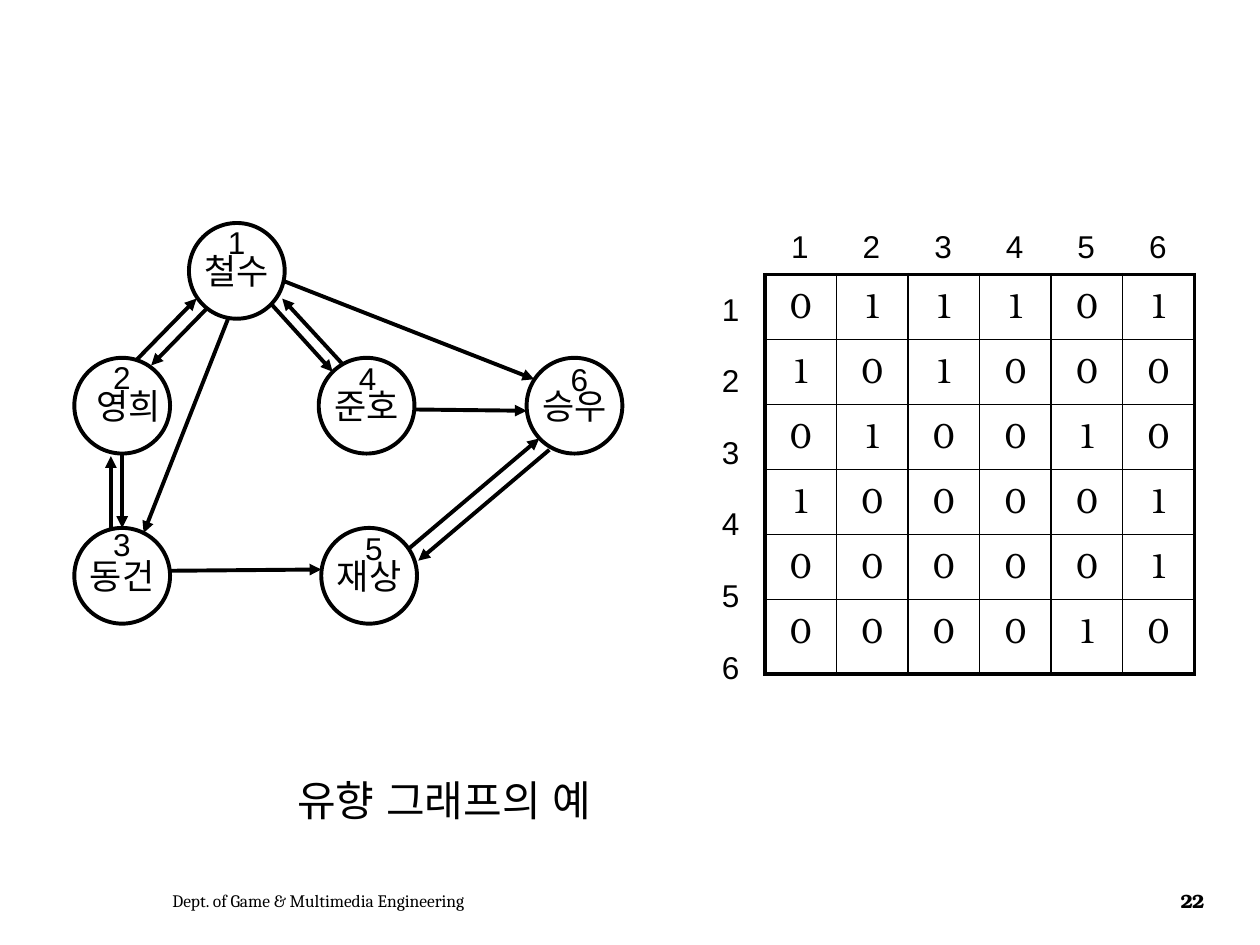
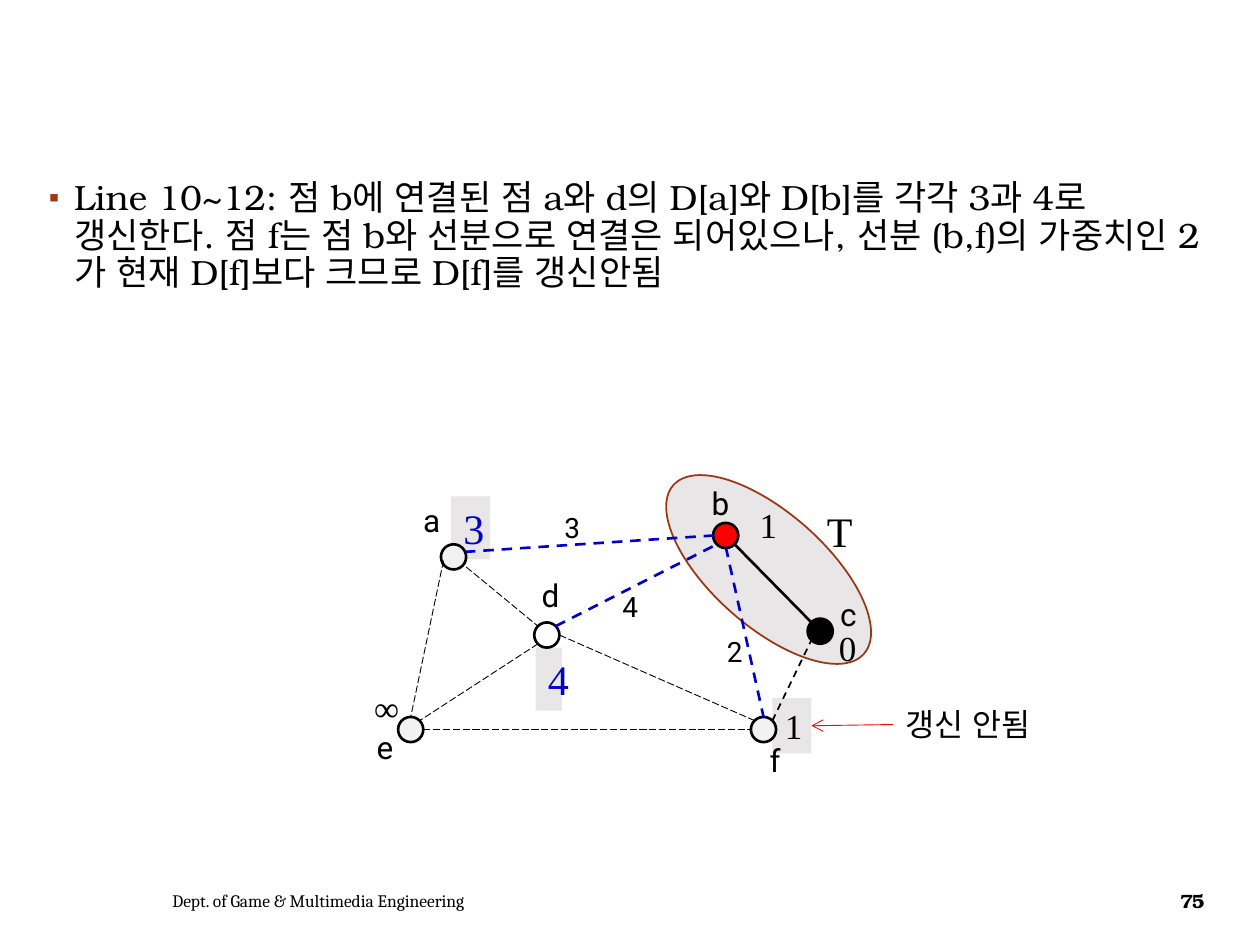
from lxml.etree import SubElement
from pptx import Presentation
from pptx.dml.color import RGBColor
from pptx.enum.dml import MSO_LINE as DASH
from pptx.enum.shapes import MSO_CONNECTOR as CONN, MSO_SHAPE as SHAPE
from pptx.enum.text import MSO_ANCHOR as ANCHOR, PP_ALIGN as ALIGN
from pptx.oxml.ns import qn
from pptx.util import Inches, Pt

BLACK = RGBColor(0, 0, 0)
WHITE = RGBColor(255, 255, 255)
RED = RGBColor(255, 0, 0)
BLUE = RGBColor(0, 0, 0xCC)
PALE = RGBColor(0xF2, 0xF2, 0xF2)
GREY = RGBColor(0xE9, 0xE6, 0xE7)
RUST = RGBColor(0x9C, 0x35, 0x11)
BULLET = RGBColor(0x9E, 0x36, 0x11)
SANS, LABEL, SERIF, BODY, FOOT = "Arial", "Roboto", "Times New Roman", "TeX Gyre Bonum", "Cambria"

FOOTER = "Dept. of Game & Multimedia Engineering"

CAPTION = "유향 그래프의 예"
MATRIX = ["011101", "101000", "010010", "100001", "000001", "000010"]
MATRIX_X, MATRIX_Y, MATRIX_W, MATRIX_H, LAST_H = 6.07, 2.18, 3.41, 3.17, 0.59
CELL_W = MATRIX_W / len(MATRIX)
CELL_H = (MATRIX_H - LAST_H) / (len(MATRIX) - 1)
PERSON_D = 0.76
PEOPLE = [
    ("철수", (1.5, 1.77), (1.71, 1.72), 0.1),
    ("영희", (0.59, 2.84), (0.8, 2.79), 0.2),
    ("동건", (0.59, 4.19), (0.8, 4.12), 0.1),
    ("준호", (2.53, 2.84), (2.75, 2.8), 0.1),
    ("재상", (2.55, 4.19), (2.8, 4.15), 0.1),
    ("승우", (4.18, 2.84), (4.43, 2.81), 0.1),
]
ARROWS = [
    ((1.08, 2.86), (1.56, 2.37)), ((1.64, 2.45), (1.2, 2.9)),
    ((2.25, 2.23), (4.24, 3.01)), ((1.81, 2.53), (1.14, 4.23)),
    ((2.15, 2.41), (2.64, 2.95)), ((2.71, 2.88), (2.24, 2.37)),
    ((0.97, 3.6), (0.97, 4.19)), ((0.88, 4.19), (0.88, 3.62)),
    ((1.35, 4.53), (2.55, 4.52)), ((3.3, 3.25), (4.18, 3.26)),
    ((3.25, 4.35), (4.28, 3.48)), ((4.36, 3.57), (3.32, 4.45)),
]

STEP = ("Line 10~12: 점 b에 연결된 점 a와 d의 D[a]와 D[b]를 각각 3과 4로 갱신한다. "
        "점 f는 점 b와 선분으로 연결은 되어있으나, 선분 (b,f)의 가중치인 2가 현재 "
        "D[f]보다 크므로 D[f]를 갱신안됨")
POINT_D = 0.2
POINTS = [
    ("a", (3.5, 4.32), PALE, (3.26, 3.93)),
    ("b", (5.66, 4.15), RED, (5.55, 3.79)),
    ("c", (6.41, 4.91), BLACK, (6.57, 4.67)),
    ("d", (4.24, 4.94), WHITE, (4.2, 4.52)),
    ("e", (3.16, 5.69), PALE, (2.89, 5.73)),
    ("f", (5.96, 5.69), PALE, (6.01, 5.83)),
]
FAR = dict(width=0.5, dash=DASH.LONG_DASH)
NEAR = dict(color=BLUE, width=1.5, dash=DASH.DASH)
EDGES = [
    ((4.27, 5.11), (3.33, 5.72), FAR), ((3.52, 4.45), (3.26, 5.69), FAR),
    ((4.44, 5.04), (5.99, 5.72), FAR), ((3.36, 5.79), (5.96, 5.79), FAR),
    ((3.7, 4.5), (4.27, 4.97), FAR),
    ((3.69, 4.38), (5.66, 4.25), NEAR), ((4.41, 4.97), (5.69, 4.32), NEAR),
    ((5.76, 4.34), (6.06, 5.69), NEAR),
    ((6.44, 4.94), (5.83, 4.32), dict(width=1.5)),
    ((6.13, 5.72), (6.44, 5.08), dict(width=1, dash=DASH.DASH)),
]
WEIGHTS = [("3", 4.38, 4), ("4", 4.84, 4.63), ("2", 5.67, 4.99)]
UPDATED = [("3", (3.58, 3.94, 0.31, 0.5), 24, BLUE),
           ("1", (6.13, 5.54, 0.31, 0.44), 20, BLACK),
           ("4", (4.25, 5.14, 0.21, 0.5), 24, BLUE)]
DISTANCES = [("0", 6.56, 4.92), ("∞", 2.87, 5.4), ("1", 5.93, 3.95)]


def write(tf, text, size=18, font=SANS, color=BLACK, align=ALIGN.LEFT,
          anchor=ANCHOR.TOP, wrap=True, bold=False, spacing=None):
    tf.word_wrap, tf.vertical_anchor = wrap, anchor
    p = tf.paragraphs[0]
    p.alignment = align
    r = p.add_run()
    r.text = text
    r.font.size, r.font.name, r.font.bold = Pt(size), font, bold
    r.font.color.rgb = color
    r_pr = r._r.get_or_add_rPr()
    SubElement(r_pr, qn("a:ea"), typeface=SANS)
    if spacing:
        r_pr.set("spc", str(spacing))
    return p


def add_text(slide, text, x, y, w=0.35, h=0.4, **fmt):
    sp = slide.shapes.add_textbox(*map(Inches, (x, y, w, h)))
    return write(sp.text_frame, text, **fmt)


def add_shape(slide, kind, x, y, w, h, fill=None, line=None, width=1):
    sp = slide.shapes.add_shape(kind, *map(Inches, (x, y, w, h)))
    sp.shadow.inherit = False
    if fill is None:
        sp.fill.background()
    else:
        sp.fill.solid()
        sp.fill.fore_color.rgb = fill
    if line is None:
        sp.line.fill.background()
    else:
        sp.line.color.rgb, sp.line.width = line, Pt(width)
    return sp


def add_line(slide, start, end, color=BLACK, width=2.25, dash=None, head=None):
    cx = slide.shapes.add_connector(CONN.STRAIGHT, *map(Inches, (*start, *end)))
    cx.line.color.rgb, cx.line.width = color, Pt(width)
    if dash:
        cx.line.dash_style = dash
    if head:
        SubElement(cx.line._get_or_add_ln(), qn("a:tailEnd"), type=head)
    SubElement(cx._element.spPr, qn("a:effectLst"))


def add_slide(prs, number):
    slide = prs.slides.add_slide(prs.slide_layouts[6])
    add_text(slide, FOOTER, 1.27, 6.95, 4.59, size=10, font=FOOT, anchor=ANCHOR.MIDDLE)
    add_text(slide, str(number), 9.2, 6.95, 0.53, size=11, font=BODY, bold=True,
             align=ALIGN.CENTER, anchor=ANCHOR.MIDDLE, spacing=-70)
    return slide


def set_borders(cell, **widths):
    tc_pr = cell._tc.get_or_add_tcPr()
    for i, (side, width) in enumerate(widths.items()):
        ln = tc_pr.makeelement(qn("a:ln" + side), {"w": str(Pt(width))})
        fill = SubElement(ln, qn("a:solidFill"))
        SubElement(fill, qn("a:srgbClr"), val=str(BLACK))
        tc_pr.insert(i, ln)


def add_matrix(slide):
    n = len(MATRIX)
    frame = slide.shapes.add_table(
        n, n, *map(Inches, (MATRIX_X, MATRIX_Y, MATRIX_W, MATRIX_H)))
    table = frame.table
    table.first_row = table.horz_banding = False
    for i in range(n):
        table.columns[i].width = Inches(CELL_W)
        table.rows[i].height = Inches(LAST_H if i == n - 1 else CELL_H)
        for j in range(n):
            cell = table.cell(i, j)
            cell.fill.background()
            write(cell.text_frame, MATRIX[i][j], size=20, font=BODY, align=ALIGN.CENTER)
            edge = {"L": j == 0, "R": j == n - 1, "T": i == 0, "B": i == n - 1}
            set_borders(cell, **{s: 2.25 if outer else 1 for s, outer in edge.items()})
        add_text(slide, str(i + 1), 5.63, 2.25 + CELL_W * i)
        add_text(slide, str(i + 1), 6.18 + CELL_W * i, 1.75)


def build_graph_slide(prs):
    slide = add_slide(prs, 22)
    add_matrix(slide)
    for number, (name, spot, label, margin) in enumerate(PEOPLE, 1):
        add_text(slide, str(number), *label)
        sp = add_shape(slide, SHAPE.OVAL, *spot, PERSON_D, PERSON_D, line=BLACK, width=2.25)
        write(sp.text_frame, name, size=20, align=ALIGN.CENTER,
              anchor=ANCHOR.MIDDLE, wrap=False)
        sp.text_frame.margin_left = Inches(margin)
    for start, end in ARROWS:
        add_line(slide, start, end, head="triangle")
    add_text(slide, CAPTION, 2.26, 6.1, 2.78, 0.5, size=24)


def add_bullet(p):
    p_pr = p._p.get_or_add_pPr()
    p_pr.set("marL", str(Inches(0.2)))
    p_pr.set("indent", str(-Inches(0.2)))
    SubElement(SubElement(p_pr, qn("a:buClr")), qn("a:srgbClr"), val=str(BULLET))
    SubElement(p_pr, qn("a:buSzPct"), val="85000")
    SubElement(p_pr, qn("a:buFont"), typeface=SANS)
    SubElement(p_pr, qn("a:buChar"), char="▪")


def build_update_slide(prs):
    slide = add_slide(prs, 75)
    p = add_text(slide, STEP, 0.29, 1.38, 9.38, 5.37, size=20, font=BODY)
    add_bullet(p)
    p.line_spacing = 0.9

    tree = add_shape(slide, SHAPE.OVAL, 5.09, 4.07, 2.02, 0.9, fill=GREY, line=RUST)
    tree.rotation = 41.5
    for text, box, size, color in UPDATED:
        sp = add_shape(slide, SHAPE.RECTANGLE, *box, fill=GREY)
        write(sp.text_frame, text, size=size, font=SERIF, color=color, align=ALIGN.CENTER)
    for name, spot, fill, label in POINTS:
        add_shape(slide, SHAPE.OVAL, *spot, POINT_D, POINT_D, fill=fill, line=BLACK, width=1.5)
        add_text(slide, name, *label, w=0.34, font=LABEL)
    for start, end, style in EDGES:
        add_line(slide, start, end, **style)

    for text, x, y in WEIGHTS:
        add_text(slide, text, x, y, 0.32, 0.37, size=16, font=LABEL)
    for text, x, y in DISTANCES:
        add_text(slide, text, x, y, 0.31, 0.44, size=20, font=SERIF, align=ALIGN.CENTER)
    add_text(slide, "T", 6.39, 3.96, 0.55, 0.5, size=24, font=SERIF, align=ALIGN.CENTER)
    add_text(slide, "갱신 안됨", 7.09, 5.55, 1.73, font=BODY)
    add_line(slide, (7.09, 5.75), (6.44, 5.76), color=RED, width=0.5, head="arrow")


def main():
    prs = Presentation()
    prs.slide_width, prs.slide_height = Inches(10), Inches(7.5)
    build_graph_slide(prs)
    build_update_slide(prs)
    prs.save("out.pptx")


if __name__ == "__main__":
    main()
